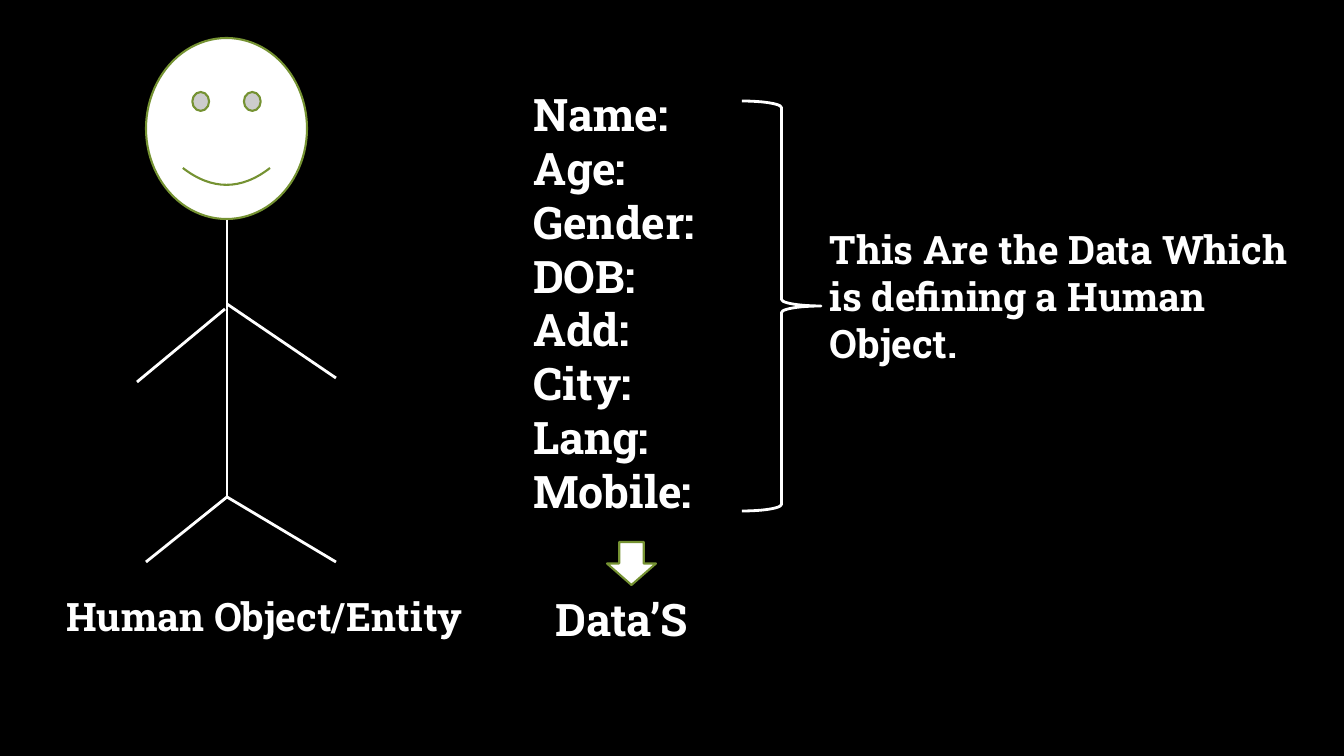
from dataclasses import dataclass

from pptx import Presentation
from pptx.dml.color import RGBColor
from pptx.enum.shapes import MSO_CONNECTOR, MSO_SHAPE
from pptx.enum.text import MSO_ANCHOR, MSO_AUTO_SIZE, PP_ALIGN
from pptx.oxml.ns import qn
from pptx.util import Pt
from lxml import etree

STRAIGHT = MSO_CONNECTOR.STRAIGHT
FACE, BRACE, ARROW = MSO_SHAPE.SMILEY_FACE, MSO_SHAPE.RIGHT_BRACE, MSO_SHAPE.DOWN_ARROW
TOP, LEFT, NO_AUTOFIT = MSO_ANCHOR.TOP, PP_ALIGN.LEFT, MSO_AUTO_SIZE.NONE
EMU_PER_PIXEL = 914400 / 100.8
TITLE_AND_CONTENT = 1


@dataclass(frozen=True)
class Theme:
    """Colours, font and sizes of the slide."""
    background: RGBColor = RGBColor(0, 0, 0)
    foreground: RGBColor = RGBColor(255, 255, 255)
    outline: RGBColor = RGBColor(0x75, 0x92, 0x32)
    font: str = "Roboto Slab"
    caption_size: int = 28
    field_size: int = 32
    outline_width: float = 1.5
    line_width: float = 2


THEME = Theme()

# Content: text with its box (left, top, width, height) in pixels
CAPTION = (["Human Object/Entity"], (56, 587, 502, 57))
FIELDS = (["Name:", "Age:", "Gender:", "DOB:", "Add:", "City:", "Lang:", "Mobile:"],
          (523, 82, 297, 445))
DATA_LABEL = (["Data’S"], (546, 587, 274, 65))
EXPLANATION = (["This Are the Data Which is defining a Human Object."],
               (820, 220, 486, 152))

FACE_BOX = (146, 38, 161, 181)
BRACE_BOX = (742, 101, 79, 410)
ARROW_BOX = (607, 542, 49, 43)

NECK, HIP = (227, 220), (227, 497)
LIMBS = [
    (NECK, HIP),
    (HIP, (336, 562)),
    (HIP, (146, 562)),
    ((227, 304), (336, 378)),
    ((225, 309), (137, 382)),
]


def emu(pixels):
    """Turn a sequence of pixel lengths into EMU."""
    return [round(pixel * EMU_PER_PIXEL) for pixel in pixels]


def write_text(shape, content, size):
    """Place a text shape and fill it with plain, bold, left-aligned paragraphs."""
    lines, box = content
    shape.left, shape.top, shape.width, shape.height = emu(box)
    frame = shape.text_frame
    frame.text = "\n".join(lines)
    frame.word_wrap = True
    frame.auto_size = NO_AUTOFIT
    frame.vertical_anchor = TOP
    for paragraph in frame.paragraphs:
        paragraph.alignment = LEFT
        paragraph.space_before = Pt(0)
        properties = paragraph._p.get_or_add_pPr()
        properties.set("marL", "0")
        properties.set("indent", "0")
        etree.SubElement(properties, qn("a:buNone"))
        for run in paragraph.runs:
            run.font.name = THEME.font
            run.font.size = Pt(size)
            run.font.bold = True
            run.font.color.rgb = THEME.foreground


def add_text(slide, content, size):
    """Add a text box with the given content."""
    write_text(slide.shapes.add_textbox(*emu(content[1])), content, size)


def add_limb(slide, start, end):
    """Draw one line of the stick figure."""
    limb = slide.shapes.add_connector(STRAIGHT, *emu(start + end))
    limb.line.color.rgb = THEME.foreground
    limb.line.width = Pt(THEME.line_width)
    etree.SubElement(limb._element.spPr, qn("a:effectLst"))


def add_shape(slide, kind, box, line_color, line_width, filled=True):
    """Add a preset shape, white or hollow, without shadow."""
    shape = slide.shapes.add_shape(kind, *emu(box))
    shape.shadow.inherit = False
    if filled:
        shape.fill.solid()
        shape.fill.fore_color.rgb = THEME.foreground
    else:
        shape.fill.background()
    shape.line.color.rgb = line_color
    shape.line.width = Pt(line_width)


def build():
    """Build the slide and save it."""
    presentation = Presentation()
    presentation.slide_width, presentation.slide_height = emu((1344, 756))
    layout = presentation.slide_layouts[TITLE_AND_CONTENT]
    slide = presentation.slides.add_slide(layout)
    slide.background.fill.solid()
    slide.background.fill.fore_color.rgb = THEME.background

    add_shape(slide, FACE, FACE_BOX, THEME.outline, THEME.outline_width)
    for start, end in LIMBS:
        add_limb(slide, start, end)

    write_text(slide.shapes.title, CAPTION, THEME.caption_size)
    write_text(slide.placeholders[1], FIELDS, THEME.field_size)
    add_text(slide, DATA_LABEL, THEME.field_size)
    add_text(slide, EXPLANATION, THEME.caption_size)

    add_shape(slide, BRACE, BRACE_BOX, THEME.foreground, THEME.line_width, filled=False)
    add_shape(slide, ARROW, ARROW_BOX, THEME.outline, THEME.outline_width)
    presentation.save("out.pptx")


build()
